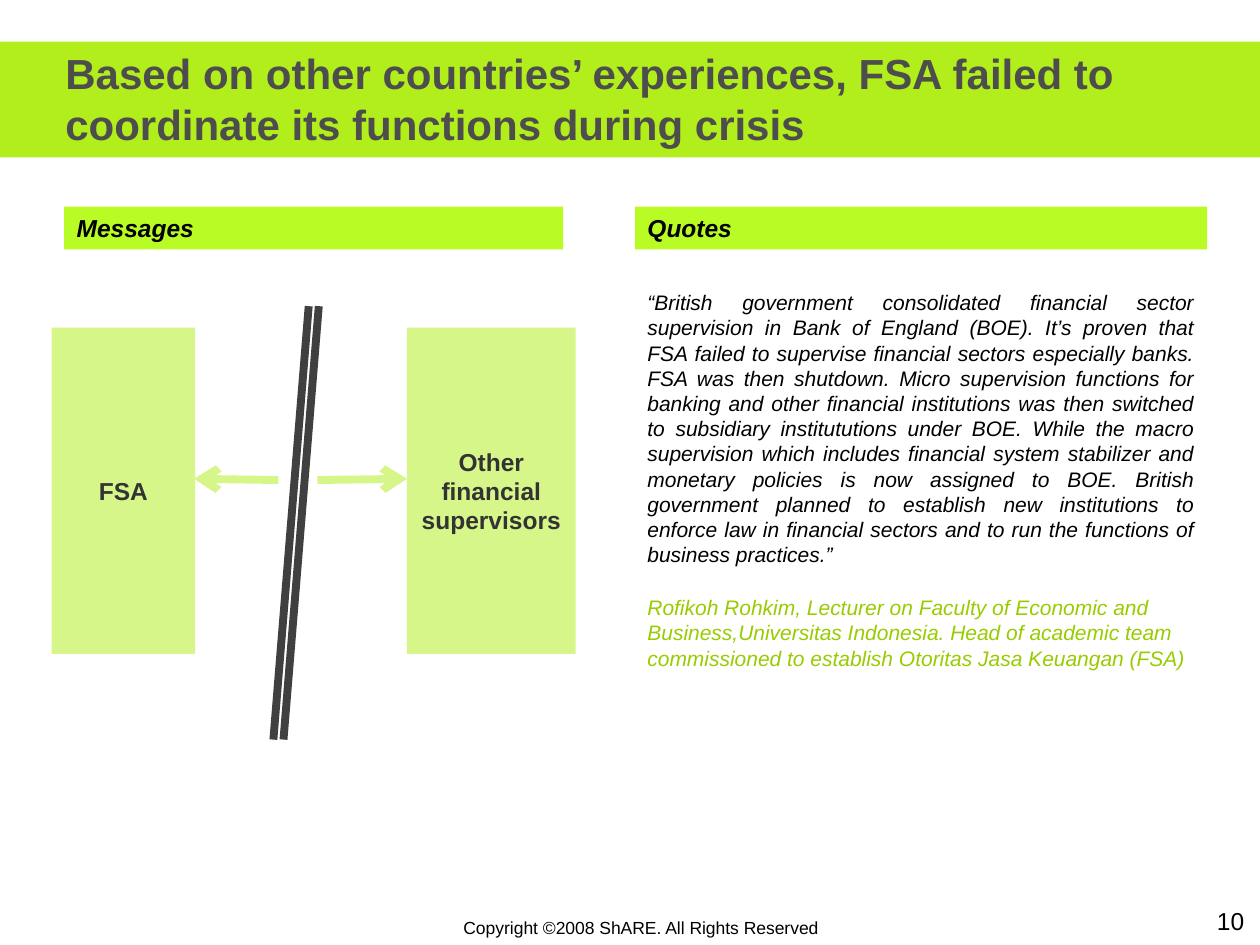
from lxml import etree
from pptx import Presentation
from pptx.dml.color import RGBColor
from pptx.enum import shapes, text
from pptx.oxml.ns import qn
from pptx.util import Inches, Pt

BAND_GREEN = RGBColor(0xB2, 0xEE, 0x1C)
HEADER_GREEN = RGBColor(0xB9, 0xFB, 0x25)
PALE_GREEN = RGBColor(0xD7, 0xF6, 0x8A)
SOURCE_GREEN = RGBColor(0x99, 0xCC, 0x00)
TITLE_GRAY = RGBColor(0x4D, 0x4D, 0x4D)
BARRIER_GRAY = RGBColor(0x40, 0x40, 0x40)
BOX_TEXT = RGBColor(0x33, 0x33, 0x33)
BLACK = RGBColor(0, 0, 0)

QUOTE = (
    "“British government consolidated financial sector supervision in Bank of England (BOE). "
    "It’s proven that FSA failed to supervise financial sectors especially banks. FSA was then "
    "shutdown. Micro supervision functions for banking and other financial institutions was then "
    "switched to subsidiary institututions under BOE. While the macro supervision which includes "
    "financial system stabilizer and monetary policies is now assigned to BOE. British government "
    "planned to establish new institutions to enforce law in financial sectors and to run the "
    "functions of business practices.”"
)
SOURCE = (
    "Rofikoh Rohkim, Lecturer on Faculty of Economic and Business,Universitas Indonesia. "
    "Head of academic team commissioned to establish Otoritas Jasa Keuangan (FSA)"
)


def write(shape, words, size, color=BLACK, bold=False, italic=False,
          align=text.PP_ALIGN.LEFT, anchor=text.MSO_ANCHOR.TOP, wrap=True):
    frame = shape.text_frame
    frame.word_wrap = wrap
    frame.vertical_anchor = anchor
    paragraph = frame.paragraphs[0]
    paragraph.text = words
    paragraph.alignment = align
    font = paragraph.font
    font.name, font.size, font.bold, font.italic = "Arial", Pt(size), bold, italic
    font.color.rgb = color


def add_text(slide, left, top, width, height, words, size, **style):
    box = slide.shapes.add_textbox(Inches(left), Inches(top), Inches(width), Inches(height))
    write(box, words, size, **style)


def add_box(slide, left, top, width, height, fill):
    box = slide.shapes.add_shape(shapes.MSO_SHAPE.RECTANGLE, Inches(left), Inches(top),
                                 Inches(width), Inches(height))
    box.shadow.inherit = False
    box.fill.solid()
    box.fill.fore_color.rgb = fill
    box.line.fill.background()
    return box


def add_line(slide, x1, y1, x2, y2, color, arrow=False):
    connector = slide.shapes.add_connector(shapes.MSO_CONNECTOR.STRAIGHT, Inches(x1), Inches(y1),
                                           Inches(x2), Inches(y2))
    connector.line.color.rgb = color
    connector.line.width = Pt(4.5)
    if arrow:
        etree.SubElement(connector.line._get_or_add_ln(), qn("a:tailEnd"), type="arrow")
    etree.SubElement(connector._element.spPr, qn("a:effectLst"))


def add_title_band(slide, top, width, height):
    add_box(slide, 0, top, width, height, BAND_GREEN)
    add_text(slide, 0.42, top - 0.11, width - 0.42, height + 0.2,
             "Based on other countries’ experiences, FSA failed to coordinate its functions "
             "during crisis", 24, color=TITLE_GRAY, bold=True, anchor=text.MSO_ANCHOR.MIDDLE)


def add_header(slide, left, top, width, words):
    header = add_box(slide, left, top, width, 0.34, HEADER_GREEN)
    write(header, words, 14, bold=True, italic=True)


def add_separation_diagram(slide, left, top):
    """Two bodies pushed apart by a slanted double barrier."""
    box_top, box_height = top + 0.17, 2.59
    for offset, width, words in ((0, 1.14, "FSA"), (2.82, 1.34, "Other financial supervisors")):
        box = add_box(slide, left + offset, box_top, width, box_height, PALE_GREEN)
        write(box, words, 14, color=BOX_TEXT, bold=True,
              align=text.PP_ALIGN.CENTER, anchor=text.MSO_ANCHOR.MIDDLE)
    arrow_y = top + 1.37
    for start, end in ((1.8, 1.13), (2.11, 2.82)):
        add_line(slide, left + start, arrow_y + 0.01, left + end, arrow_y, PALE_GREEN, arrow=True)
    for offset in (2.04, 2.12):
        add_line(slide, left + offset, top, left + offset - 0.28, top + 3.44, BARRIER_GRAY)


def add_quote(slide, left, top, width):
    add_text(slide, left, top, width, 2.32, QUOTE, 12, italic=True, align=text.PP_ALIGN.JUSTIFY)
    add_text(slide, left, top + 2.42, width, 0.71, SOURCE, 12, color=SOURCE_GREEN, italic=True)


def add_footer(slide, top):
    add_text(slide, 3.58, top + 0.09, 3.06, 0.27,
             "Copyright ©2008 ShARE. All Rights Reserved", 10, wrap=False)
    add_text(slide, 9.56, top, 0.44, 0.33, "10", 14, wrap=False)


def main():
    presentation = Presentation()
    presentation.slide_width, presentation.slide_height = Inches(10), Inches(7.5)
    slide = presentation.slides.add_slide(presentation.slide_layouts[6])
    add_title_band(slide, 0.33, 10, 0.92)
    add_header(slide, 0.51, 1.64, 3.96, "Messages")
    add_header(slide, 5.04, 1.64, 4.54, "Quotes")
    add_separation_diagram(slide, 0.41, 2.43)
    add_quote(slide, 5.04, 2.25, 4.54)
    add_footer(slide, 7.14)
    presentation.save("out.pptx")


if __name__ == "__main__":
    main()
